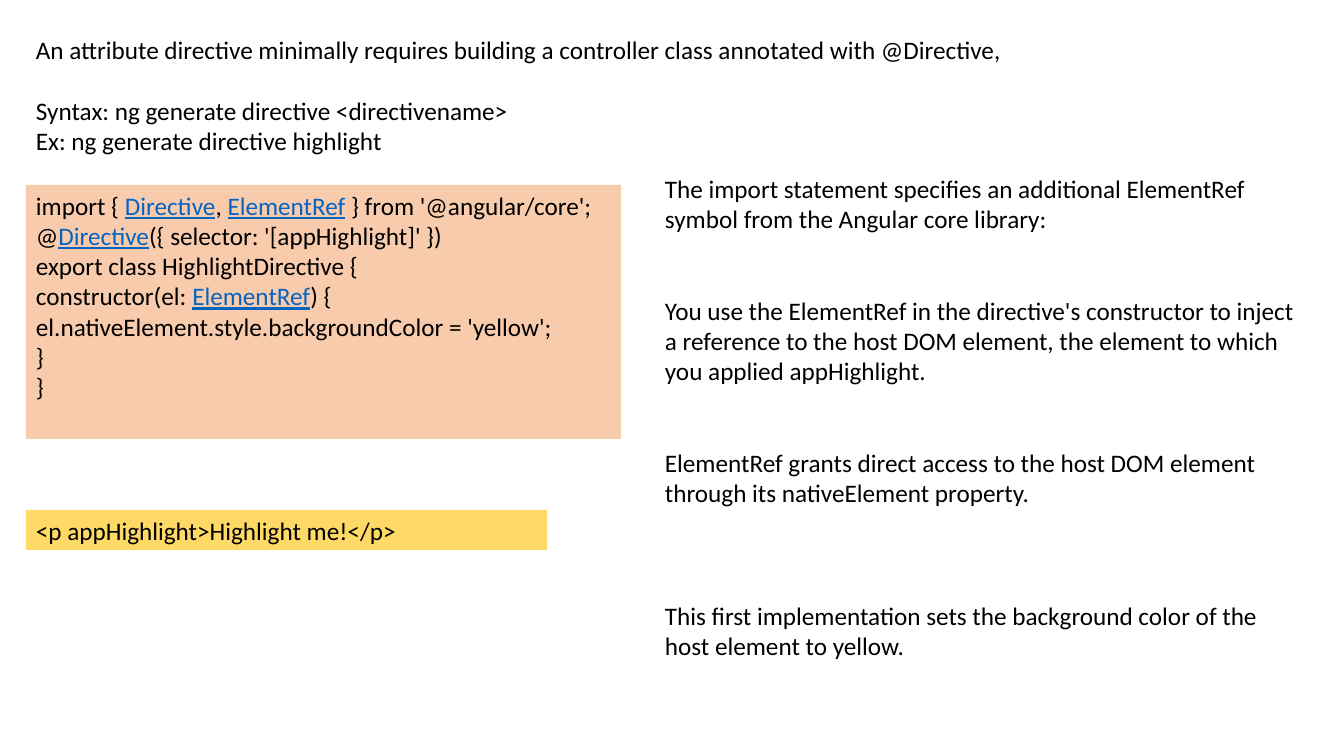
from pptx import Presentation
from pptx.dml.color import RGBColor
from pptx.enum.shapes import MSO_SHAPE as Shape
from pptx.enum.text import MSO_ANCHOR as Anchor, PP_ALIGN as Align
from pptx.util import Emu, Pt

SCALE = 914400 / 100.8  # EMU in one pixel
LINE = 22  # height of one text line in points


def px(length):
    return Emu(round(length * SCALE))


def color(value):
    return RGBColor.from_string(value)


def write(para, text, font="Calibri", size=18, ink="000000", link_ink="0563C1", before=0):
    """Fill a paragraph; words between asterisks look like links."""
    para.alignment = Align.LEFT
    para.space_before = Pt(before)
    for index, piece in enumerate(text.split("*")):
        if not piece:
            continue
        linked = index % 2 == 1
        span = para.add_run()
        span.text = piece
        span.font.name = font
        span.font.size = Pt(size)
        span.font.underline = linked
        span.font.color.rgb = color(link_ink if linked else ink)


class SlideBuilder:
    def __init__(self, page, **style):
        self.page = page
        self.style = style

    def fill_text(self, box, lines):
        """Each line is a pair: blank lines above it, and its text."""
        frame = box.text_frame
        frame.word_wrap = True
        frame.vertical_anchor = Anchor.TOP
        for index, (gap, text) in enumerate(lines):
            para = frame.add_paragraph() if index else frame.paragraphs[0]
            write(para, text, before=gap * LINE, **self.style)

    def text(self, left, top, width, height, lines):
        box = self.page.shapes.add_textbox(px(left), px(top), px(width), px(height))
        self.fill_text(box, lines)

    def panel(self, left, top, width, height, fill, lines):
        box = self.page.shapes.add_shape(
            Shape.RECTANGLE, px(left), px(top), px(width), px(height))
        box.shadow.inherit = False
        box.fill.solid()
        box.fill.fore_color.rgb = color(fill)
        box.line.fill.background()
        self.fill_text(box, lines)


deck = Presentation()
deck.slide_width, deck.slide_height = px(1344), px(756)
slide = SlideBuilder(deck.slides.add_slide(deck.slide_layouts[6]), font="Calibri", size=18)
LEFT = 26

# Introduction and command syntax
slide.text(LEFT, 29, 1257, 194, [
    (0, "An attribute directive minimally requires building a controller class "
        "annotated with @Directive,"),
    (1, "Syntax: ng generate directive <directivename>"),
    (0, "Ex: ng generate directive highlight"),
])

# Directive source code
code = [
    "import { *Directive*, *ElementRef* } from '@angular/core';",
    "@*Directive*({ selector: '[appHighlight]' })",
    "export class HighlightDirective {",
    "constructor(el: *ElementRef*) {",
    "el.nativeElement.style.backgroundColor = 'yellow';",
    "}",
    "}",
]
slide.panel(LEFT, 185, 595, 254, "F8CBAD", [(0, line) for line in code])

# Explanations beside the code
slide.text(655, 168, 658, 499, [
    (0, "The import statement specifies an additional ElementRef symbol "
        "from the Angular core library:"),
    (2, "You use the ElementRef in the directive's constructor to inject a reference "
        "to the host DOM element, the element to which you applied appHighlight."),
    (2, "ElementRef grants direct access to the host DOM element "
        "through its nativeElement property."),
    (3, "This first implementation sets the background color "
        "of the host element to yellow."),
])

# Usage in a template
slide.panel(LEFT, 510, 521, 40, "FFD966", [(0, "<p appHighlight>Highlight me!</p>")])

deck.save("out.pptx")
